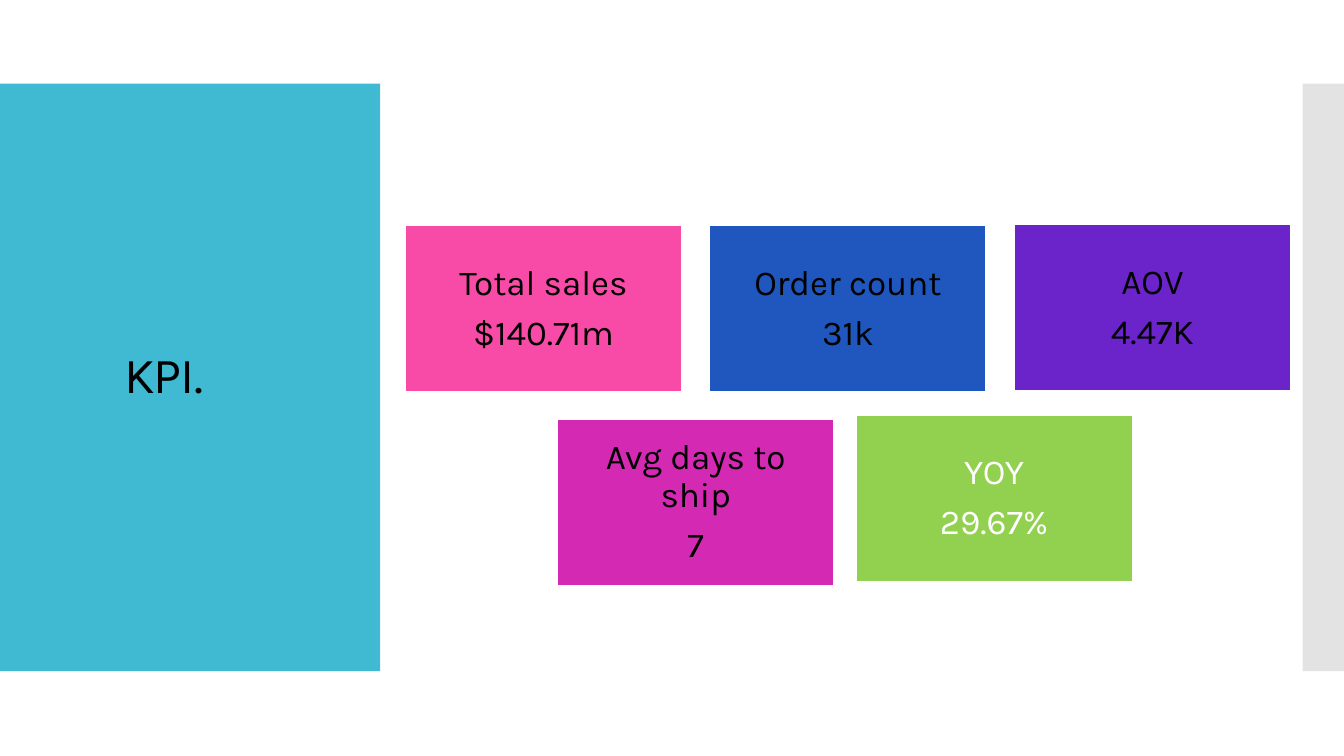
from dataclasses import dataclass

from lxml.etree import SubElement
from pptx import Presentation
from pptx.dml.color import RGBColor
from pptx.enum.shapes import MSO_SHAPE
from pptx.enum.text import MSO_ANCHOR, MSO_AUTO_SIZE, PP_ALIGN
from pptx.oxml.ns import qn
from pptx.util import Inches, Pt

# Content: (label, value, fill, text colour, column, row, nudge right, nudge down)
# Columns count in card pitches, so the second row starts half a pitch in.
HEADING = "KPI."
KPIS = [
    ("Total sales", "$140.71m", "F84AA7", "000000", 0, 0, 0, 0),
    ("Order count", "31k", "1F57BF", "000000", 1, 0, 0, 0),
    ("AOV", "4.47K", "6A24CA", "000000", 2, 0, 0, -0.01),
    ("Avg days to ship", "7", "D429B3", "000000", 0.5, 1, 0, 0),
    ("YOY", "29.67%", "92D050", "FFFFFF", 1.5, 1, -0.06, -0.04),
]


@dataclass(frozen=True)
class Theme:
    font: str = "Karla"
    heading_size: int = 36
    kpi_size: int = 25
    ink: str = "000000"
    band: str = "40BAD2"
    edge: str = "C8C8C8"
    outline: str = "FFFFFF"
    line_spacing: float = 0.9
    space_after: float = 8.75


THEME = Theme()

# Layout in inches
SLIDE_W, SLIDE_H = 13.33, 7.5
BAND_TOP, BAND_H = 0.83, 5.83
CARD_W, CARD_H = 2.74, 1.65
GRID_LEFT, GRID_TOP = 4.02, 2.24
PITCH_X, PITCH_Y = 3.02, 1.92


def add_box(slide, left, top, width, height, fill, outline=None):
    box = slide.shapes.add_shape(
        MSO_SHAPE.RECTANGLE, *map(Inches, (left, top, width, height)))
    box.shadow.inherit = False
    box.fill.solid()
    box.fill.fore_color.rgb = RGBColor.from_string(fill)
    if outline:
        box.line.color.rgb = RGBColor.from_string(outline)
        box.line.width = Pt(0.85)
    else:
        box.line.fill.background()
    return box


def set_frame(frame, **margins):
    formats = {"word_wrap": True, "auto_size": MSO_AUTO_SIZE.NONE,
               "vertical_anchor": MSO_ANCHOR.MIDDLE}
    for side in ("left", "right", "top", "bottom"):
        formats[f"margin_{side}"] = Inches(margins.get(side, 0.1))
    for attribute, value in formats.items():
        setattr(frame, attribute, value)


def write(paragraph, text, size, color, align, space_after=0):
    formats = {"alignment": align, "line_spacing": THEME.line_spacing,
               "space_before": Pt(0), "space_after": Pt(space_after)}
    for attribute, value in formats.items():
        setattr(paragraph, attribute, value)
    run = paragraph.add_run()
    run.text = text
    run.font.name = THEME.font
    run.font.size = Pt(size)
    run.font.color.rgb = RGBColor.from_string(color)
    return run


def add_panels(slide):
    add_box(slide, 0, BAND_TOP, 3.77, BAND_H, THEME.band)
    edge = add_box(slide, 12.92, BAND_TOP, SLIDE_W - 12.92, BAND_H, THEME.edge)
    # Half-transparent fill
    color = edge.element.spPr.find(qn("a:solidFill"))[0]
    SubElement(color, qn("a:alpha")).set("val", "50000")


def add_heading(slide):
    heading = slide.shapes.title
    box = {"left": 0.28, "top": 1.23, "width": 3.22, "height": 5.03}
    for attribute, value in box.items():
        setattr(heading, attribute, Inches(value))
    set_frame(heading.text_frame, left=0.95)
    run = write(heading.text_frame.paragraphs[0], HEADING,
                THEME.heading_size, THEME.ink, PP_ALIGN.LEFT)
    run.font._element.set("spc", "-60")
    # Bring the heading in front of the band
    heading.element.getparent().append(heading.element)


def add_kpi(slide, label, value, fill, ink, column, row, right, down):
    card = add_box(slide, GRID_LEFT + column * PITCH_X + right,
                   GRID_TOP + row * PITCH_Y + down,
                   CARD_W, CARD_H, fill, THEME.outline)
    frame = card.text_frame
    set_frame(frame)
    for paragraph, text in ((frame.paragraphs[0], label),
                            (frame.add_paragraph(), value)):
        write(paragraph, text, THEME.kpi_size, ink, PP_ALIGN.CENTER,
              THEME.space_after)


def main():
    deck = Presentation()
    deck.slide_width, deck.slide_height = Inches(SLIDE_W), Inches(SLIDE_H)
    slide = deck.slides.add_slide(deck.slide_layouts[5])
    add_panels(slide)
    add_heading(slide)
    for kpi in KPIS:
        add_kpi(slide, *kpi)
    deck.save("out.pptx")


if __name__ == "__main__":
    main()
